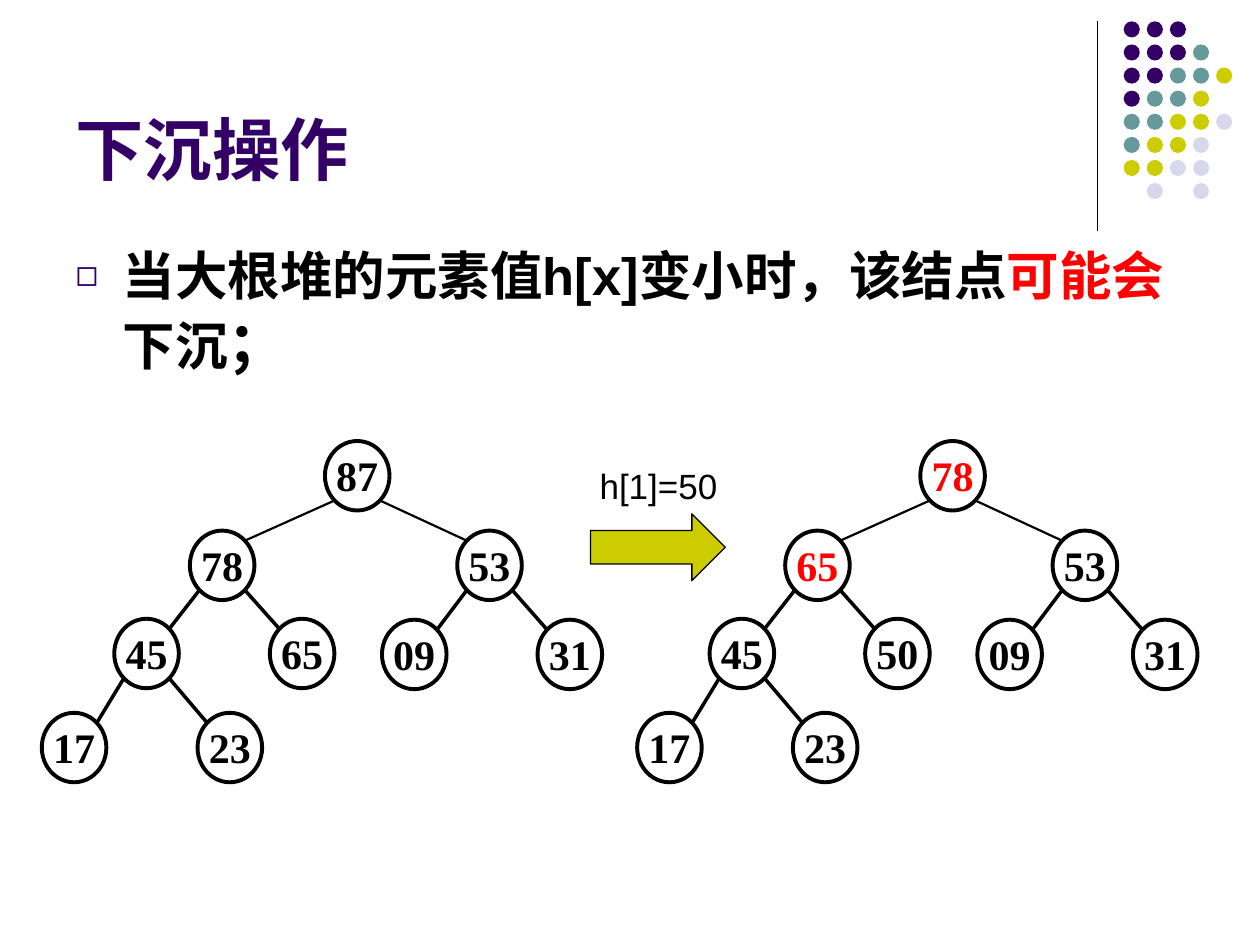
import pptx
import pptx.dml.color
import pptx.enum.shapes
import pptx.enum.text
import pptx.oxml.ns
import pptx.util
from lxml import etree

Pt = pptx.util.Pt
MSO_SHAPE = pptx.enum.shapes.MSO_SHAPE
ANCHOR = pptx.enum.text.MSO_ANCHOR
ALIGN = pptx.enum.text.PP_ALIGN
qn = pptx.oxml.ns.qn
COLORS = {"purple": "330066", "teal": "669999", "olive": "CCCC00",
          "lavender": "D8D8EC", "black": "000000", "red": "FF0000"}
RGB = {name: pptx.dml.color.RGBColor.from_string(value) for name, value in COLORS.items()}


def add_span(para, text, color, **formats):
    span = para.add_run()
    span.text = text
    span.font.color.rgb = RGB[color]
    for name, value in formats.items():
        setattr(span.font, name, value)


def add_line(shapes, start, end, width):
    line = shapes.add_connector(pptx.enum.shapes.MSO_CONNECTOR.STRAIGHT,
                                *[Pt(value) for value in start + end])
    line.line.color.rgb = RGB["black"]
    line.line.width = Pt(width)
    etree.SubElement(line._element.spPr, qn("a:effectLst"))


deck = pptx.Presentation()
deck.slide_width, deck.slide_height = Pt(720), Pt(540)
page = deck.slides.add_slide(deck.slide_layouts[1])

add_line(page.shapes, (627.1, 12.2), (627.1, 131.8), 0.75)
dot_colors = {"P": "purple", "T": "teal", "Y": "olive", "L": "lavender"}
dot_rows = ["PPP", "PPPT", "PPTTY", "PTTY", "TTYYL", "TYYL", "YYLL", ".L.L"]
dots = page.shapes.add_group_shape()
for row, letters in enumerate(dot_rows):
    for column, letter in enumerate(letters):
        if letter in dot_colors:
            dot = dots.shapes.add_shape(MSO_SHAPE.OVAL, Pt(642.1 + 13.2 * column),
                                        Pt(12.2 + 13.2 * row), Pt(9.2), Pt(9.2))
            dot.shadow.inherit = False
            dot.fill.solid()
            dot.fill.fore_color.rgb = RGB[dot_colors[letter]]
            dot.line.fill.background()

title, body = page.shapes.title, page.placeholders[1]
placements = [(title, (36, 9.4, 648, 102.2), ANCHOR.BOTTOM),
              (body, (36, 135.4, 648, 347), ANCHOR.TOP)]
for box, place, anchor in placements:
    box.left, box.top, box.width, box.height = [Pt(value) for value in place]
    box.text_frame.auto_size = pptx.enum.text.MSO_AUTO_SIZE.NONE
    box.text_frame.vertical_anchor = anchor
    para = box.text_frame.paragraphs[0]
    para.alignment = ALIGN.LEFT
    para.space_before = Pt(0)

add_span(title.text_frame.paragraphs[0], "下沉操作", "purple",
         name="Arial", size=Pt(39), bold=True)

para = body.text_frame.paragraphs[0]
properties = para._p.get_or_add_pPr()
properties.set("marL", str(Pt(27)))
properties.set("indent", str(-Pt(27)))
bullet_color = etree.SubElement(properties, qn("a:buClr"))
etree.SubElement(bullet_color, qn("a:srgbClr"), val=COLORS["purple"])
etree.SubElement(properties, qn("a:buSzPct"), val="70000")
etree.SubElement(properties, qn("a:buChar"), char="◻")
body_spans = [("当大根堆的元素值h[x]变小时，该结点", "black", 30), ("可能会", "red", 30),
              ("下沉", "black", 30), ("；", "black", 34)]
for text, color, size in body_spans:
    add_span(para, text, color, name="Arial", size=Pt(size), bold=True)

step = page.shapes.add_group_shape()
arrow = step.shapes.add_shape(MSO_SHAPE.RIGHT_ARROW, Pt(337.5), Pt(293.6), Pt(77), Pt(38.2))
arrow.shadow.inherit = False
arrow.fill.solid()
arrow.fill.fore_color.rgb = RGB["olive"]
arrow.line.color.rgb = RGB["black"]
arrow.line.width = Pt(0.75)
label = step.shapes.add_textbox(Pt(335.5), Pt(262.1), Pt(87.1), Pt(31.7))
label.text_frame.word_wrap = True
add_span(label.text_frame.paragraphs[0], "h[1]=50", "black", name="Arial", size=Pt(20))

node_width, node_height = 36.9, 39.7
node_places = [(185.7, 252), (108.5, 303.2), (261.3, 303.2), (65.3, 353.6), (154.2, 353.6),
               (218.3, 354.1), (307.2, 354.1), (23.9, 407.3), (112.9, 407.3)]
trees = [(0, ["87", "78", "53", "45", "65", "09", "31", "17", "23"], ()),
         (340.2, ["78", "65", "53", "45", "50", "09", "31", "17", "23"], (0, 1))]
for shift, values, changed in trees:
    tree = page.shapes.add_group_shape()
    for index, (value, (left, top)) in enumerate(zip(values, node_places)):
        left += shift
        node = tree.shapes.add_shape(MSO_SHAPE.OVAL, Pt(left), Pt(top),
                                     Pt(node_width), Pt(node_height))
        node.shadow.inherit = False
        node.fill.background()
        node.line.color.rgb = RGB["black"]
        node.line.width = Pt(2.25)
        frame = node.text_frame
        frame_formats = {"margin_left": 0, "margin_right": 0, "margin_top": 0,
                         "margin_bottom": 0, "word_wrap": False,
                         "vertical_anchor": ANCHOR.MIDDLE}
        for name, setting in frame_formats.items():
            setattr(frame, name, setting)
        para = frame.paragraphs[0]
        para.alignment = ALIGN.CENTER
        para.line_spacing = Pt(28)
        add_span(para, value, "red" if index in changed else "black",
                 name="Times New Roman", size=Pt(24), bold=True)
        if index:
            parent = (index - 1) // 2
            parent_left, parent_top = node_places[parent]
            parent_left += shift
            near, far = 5.5, node_width - 5.5
            parent_x, child_x = (near, far) if index % 2 else (far, near)
            add_line(tree.shapes, (parent_left + parent_x, parent_top + 34),
                     (left + child_x, top + 5.8), 2 if parent else 1.25)

deck.save("out.pptx")
